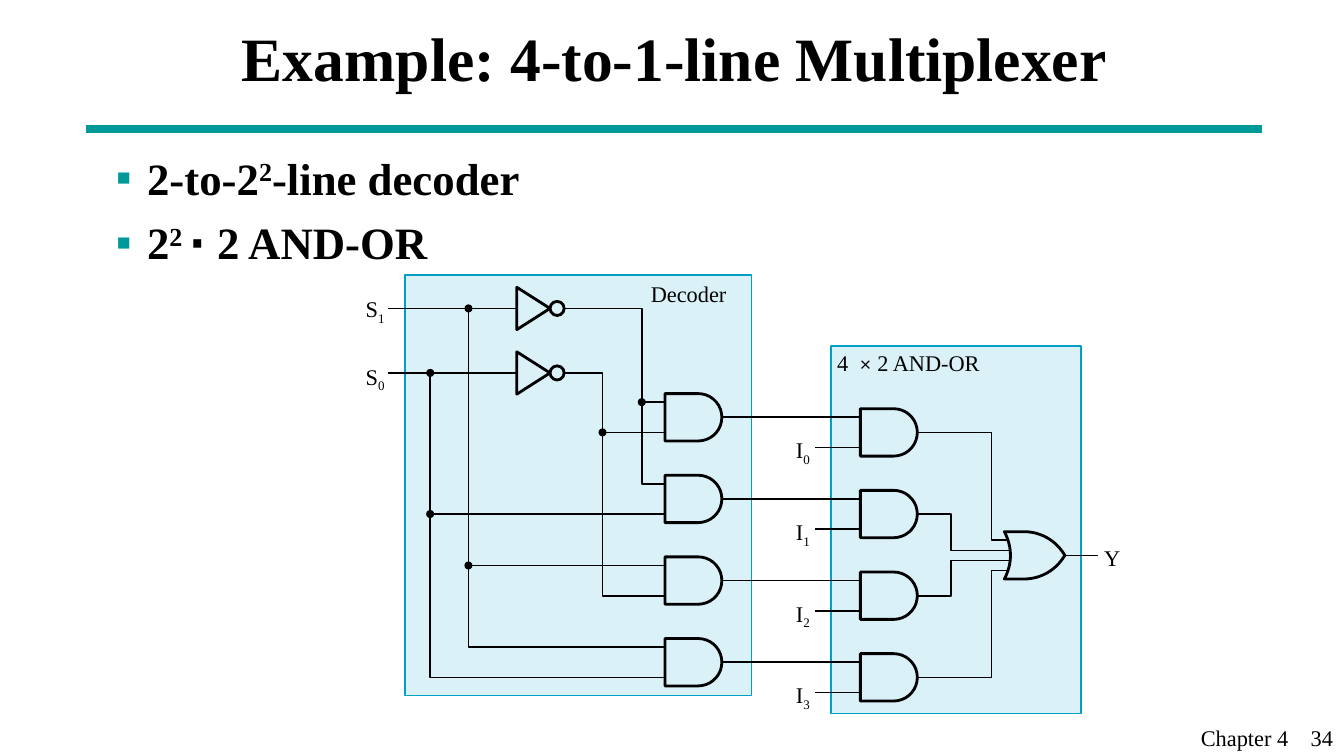
from math import cos, radians, sin

from lxml.etree import SubElement
from pptx import Presentation
from pptx.dml.color import RGBColor
from pptx.enum.shapes import MSO_CONNECTOR, MSO_SHAPE
from pptx.enum.text import MSO_ANCHOR, MSO_AUTO_SIZE, PP_ALIGN
from pptx.oxml.ns import qn
from pptx.util import Inches, Pt

BLACK = RGBColor(0x00, 0x00, 0x00)
TEAL = RGBColor(0x00, 0x99, 0x99)
PALE_BLUE = RGBColor(0xD9, 0xF1, 0xF7)
BLUE = RGBColor(0x00, 0xA0, 0xC6)

SERIF = "Times New Roman"
THIN, THICK = 1.13, 2
SUPERSCRIPT, SUBSCRIPT = 30000, -25000
NO_MARGINS = dict.fromkeys(
    ("margin_left", "margin_top", "margin_right", "margin_bottom"), 0)


def apply_format(target, values):
    for name, value in values.items():
        setattr(target, name, value)


def bezier(start, first, second, end, steps=12):
    """Points along a cubic curve."""
    points = []
    for step in range(steps + 1):
        t = step / steps
        weights = ((1 - t) ** 3, 3 * t * (1 - t) ** 2, 3 * t ** 2 * (1 - t), t ** 3)
        points.append(tuple(
            sum(weight * value for weight, value in zip(weights, axis))
            for axis in zip(start, first, second, end)))
    return points


class CircuitSlide:
    def __init__(self, deck):
        self.slide = deck.slides.add_slide(deck.slide_layouts[1])
        self.shapes = self.slide.shapes
        self.title = self.shapes.title
        self.body = self.slide.placeholders[1]

    def place(self, box, left, top, width, height, **frame_format):
        apply_format(box, {"left": Inches(left), "top": Inches(top),
                           "width": Inches(width), "height": Inches(height)})
        apply_format(box.text_frame, {"word_wrap": True,
                                      "auto_size": MSO_AUTO_SIZE.NONE, **frame_format})

    def add_spans(self, para, spans, size, bold=False):
        """Each span is (text, baseline, font name)."""
        for text, baseline, font_name in spans:
            span = para.add_run()
            span.text = text
            apply_format(span.font, {"name": font_name, "size": Pt(size), "bold": bold})
            span.font.color.rgb = BLACK
            if baseline:
                span._r.get_or_add_rPr().set("baseline", str(baseline))

    def bullet(self, para, spans):
        apply_format(para, {"alignment": PP_ALIGN.LEFT, "space_before": Pt(8)})
        properties = para._p.get_or_add_pPr()
        properties.set("marL", str(Inches(0.31)))
        properties.set("indent", str(-Inches(0.31)))
        color = SubElement(properties, qn("a:buClr"))
        SubElement(color, qn("a:srgbClr"), val=str(TEAL))
        SubElement(properties, qn("a:buFont"), typeface="Arial")
        SubElement(properties, qn("a:buChar"), char="▪")
        self.add_spans(para, spans, 32, bold=True)

    def label(self, left, top, text, subscript="", width=0.3):
        box = self.shapes.add_textbox(0, 0, 0, 0)
        self.place(box, left, top, width, 0.27, **NO_MARGINS)
        spans = [(text, 0, SERIF)]
        if subscript:
            spans.append((subscript, SUBSCRIPT, SERIF))
        self.add_spans(box.text_frame.paragraphs[0], spans, 16)
        return box

    def paint(self, shape, fill, line, weight):
        shape.shadow.inherit = False
        for part, color in ((shape.fill, fill), (shape.line.fill, line)):
            if color is None:
                part.background()
            else:
                part.solid()
                part.fore_color.rgb = color
        if line is not None:
            shape.line.width = Pt(weight)

    def preset(self, kind, left, top, width, height, fill, line=None, weight=THIN):
        shape = self.shapes.add_shape(
            kind, Inches(left), Inches(top), Inches(width), Inches(height))
        self.paint(shape, fill, line, weight)

    def circle(self, x, y, diameter, fill, line=None):
        self.preset(MSO_SHAPE.OVAL, x - diameter / 2, y - diameter / 2,
                    diameter, diameter, fill, line, THICK)

    def dot(self, x, y):
        self.circle(x, y, 0.08, BLACK)

    def outline(self, points, closed=True):
        first, *others = [(Inches(x), Inches(y)) for x, y in points]
        builder = self.shapes.build_freeform(*first)
        builder.add_line_segments(others, close=closed)
        self.paint(builder.convert_to_shape(), PALE_BLUE if closed else None,
                   BLACK, THICK if closed else THIN)

    def line(self, start, end, color=BLACK, weight=THIN):
        connector = self.shapes.add_connector(
            MSO_CONNECTOR.STRAIGHT, *(Inches(value) for value in (*start, *end)))
        connector.line.color.rgb = color
        connector.line.width = Pt(weight)
        SubElement(connector._element.spPr, qn("a:effectLst"))

    def wire(self, *points):
        if len(points) == 2:
            self.line(*points)
        else:
            self.outline(points, closed=False)

    def inverter(self, y):
        self.outline([(5.13, y - 0.21), (5.13, y + 0.21), (5.46, y)])
        self.circle(5.53, y, 0.14, PALE_BLUE, BLACK)

    def and_gate(self, left, y, radius=0.235):
        arc = [(left + 0.33 + radius * cos(radians(angle)), y + radius * sin(radians(angle)))
               for angle in range(-90, 91, 10)]
        self.outline([(left, y - radius), *arc, (left, y + radius)])

    def or_gate(self, left, y, half=0.235):
        top, bottom, tip = y - half, y + half, (left + 0.6, y)
        self.outline([
            *bezier((left, bottom), (left + 0.08, y + 0.08),
                    (left + 0.08, y - 0.08), (left, top)),
            *bezier((left + 0.19, top), (left + 0.36, top), (left + 0.51, y - 0.15), tip),
            *bezier(tip, (left + 0.51, y + 0.15), (left + 0.36, bottom), (left + 0.19, bottom)),
        ])


def main():
    deck = Presentation()
    apply_format(deck, {"slide_width": Inches(13.34), "slide_height": Inches(7.5)})
    page = CircuitSlide(deck)

    # Title, rule and list
    page.place(page.title, 2.31, 0, 9.03, 1.12, vertical_anchor=MSO_ANCHOR.MIDDLE,
               margin_left=0, margin_right=Inches(0.25))
    heading = page.title.text_frame.paragraphs[0]
    heading.alignment = PP_ALIGN.CENTER
    page.add_spans(heading, [("Example: 4-to-1-line Multiplexer", 0, SERIF)], 44, bold=True)
    page.line((0.85, 1.28), (12.53, 1.28), TEAL, 6)

    page.place(page.body, 1.05, 1.44, 11.33, 5.5, vertical_anchor=MSO_ANCHOR.TOP)
    frame = page.body.text_frame
    page.bullet(frame.paragraphs[0], [
        ("2-to-2", 0, SERIF), ("2", SUPERSCRIPT, SERIF), ("-line decoder", 0, SERIF)])
    page.bullet(frame.add_paragraph(), [
        ("2", 0, SERIF), ("2 ", SUPERSCRIPT, SERIF), ("⋅", 0, "Arial"),
        (" 2 AND-OR", 0, SERIF)])

    # Blocks
    for area in ((8.25, 3.43, 2.48, 3.65), (4.02, 2.73, 3.44, 4.17)):
        page.preset(MSO_SHAPE.RECTANGLE, *area, PALE_BLUE, BLUE)
    page.label(6.46, 2.78, "Decoder", width=0.88)
    page.label(8.31, 3.46, "4")
    times = page.label(8.53, 3.46, "×", width=1.3)
    times.text_frame.paragraphs[0].runs[0].font.name = "Cambria"
    page.add_spans(times.text_frame.paragraphs[0], [(" 2 AND-OR", 0, SERIF)], 16)

    # Grid of the circuit
    rows = [4.14 + 0.81 * row for row in range(4)]
    upper = [y - 0.15 for y in rows]
    lower = [y + 0.15 for y in rows]
    s1_y, s0_y, or_y = 3.06, 3.7, 5.51
    s1_x, s0_x, not_s1_x, not_s0_x = 4.65, 4.27, 6.37, 5.98
    gate_x, and_or_x = 6.6, 8.54

    # Select wires
    page.wire((3.85, s1_y), (not_s1_x, s1_y), (not_s1_x, upper[1]), (gate_x, upper[1]))
    page.wire((3.85, s0_y), (not_s0_x, s0_y), (not_s0_x, lower[2]), (gate_x, lower[2]))
    page.wire((s1_x, s1_y), (s1_x, upper[3]), (gate_x, upper[3]))
    page.wire((s0_x, s0_y), (s0_x, lower[3]), (gate_x, lower[3]))
    branches = ((not_s1_x, upper[0]), (not_s0_x, lower[0]),
                (s0_x, lower[1]), (s1_x, upper[2]))
    for x, y in branches:
        page.wire((x, y), (gate_x, y))
    for x, y in (*branches, (s1_x, s1_y), (s0_x, s0_y)):
        page.dot(x, y)
    for y in (s1_y, s0_y):
        page.inverter(y)

    # Gate rows: decoder gate, data input, second gate and wire to the OR gate
    for row, (y, bend_x) in enumerate(zip(rows, (9.84, 9.44, 9.44, 9.84))):
        or_input_y = 5.36 + 0.1 * row
        page.wire((7.11, y), (8.71, y))
        page.wire((8.09, y + 0.3), (8.64, y + 0.3))
        page.wire((8.93, y + 0.15), (bend_x, y + 0.15),
                  (bend_x, or_input_y), (10.1, or_input_y))
        page.and_gate(gate_x, y)
        page.and_gate(and_or_x, y + 0.15)
        page.label(7.9, y + 0.19, "I", str(row))

    # Output and select labels
    page.wire((10.32, or_y), (10.9, or_y))
    page.or_gate(9.97, or_y)
    page.label(10.96, 5.4, "Y")
    page.label(3.63, 2.93, "S", "1")
    page.label(3.63, 3.6, "S", "0")

    # Footer
    footer = page.label(11.92, 7.18, "Chapter 4\t34", width=1.4)
    tabs = SubElement(footer.text_frame.paragraphs[0]._p.get_or_add_pPr(), qn("a:tabLst"))
    SubElement(tabs, qn("a:tab"), pos=str(Inches(1.09)), algn="l")

    deck.save("out.pptx")


if __name__ == "__main__":
    main()
